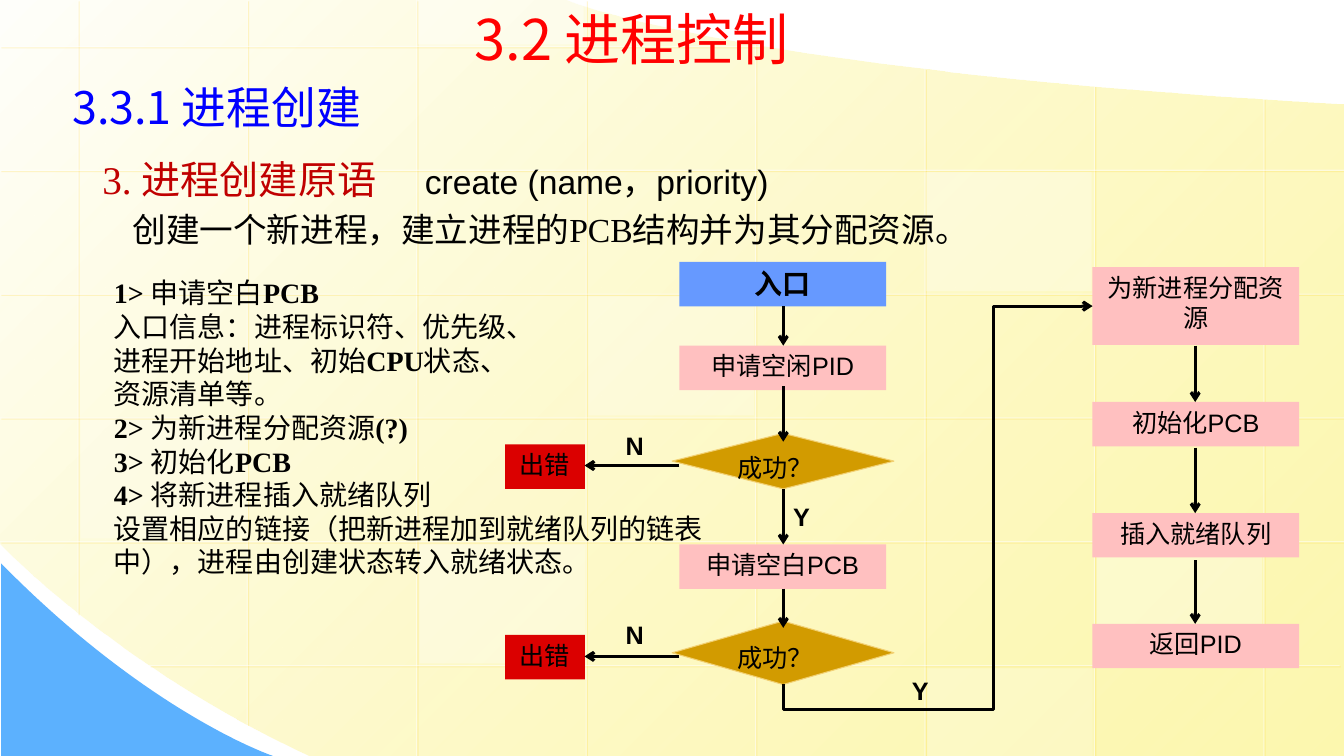
from typing import NamedTuple

from lxml import etree
from pptx import Presentation
from pptx.dml.color import RGBColor
from pptx.enum.shapes import MSO_CONNECTOR, MSO_SHAPE
from pptx.enum.text import MSO_ANCHOR, PP_ALIGN
from pptx.oxml.ns import qn
from pptx.util import Cm, Pt

RECT, DECISION = MSO_SHAPE.RECTANGLE, MSO_SHAPE.FLOWCHART_DECISION
STRAIGHT, ELBOW = MSO_CONNECTOR.STRAIGHT, MSO_CONNECTOR.ELBOW
LEFT, CENTER = PP_ALIGN.LEFT, PP_ALIGN.CENTER
TOP, MIDDLE = MSO_ANCHOR.TOP, MSO_ANCHOR.MIDDLE

BLACK, WHITE = RGBColor(0, 0, 0), RGBColor(255, 255, 255)
RED, BLUE = RGBColor(255, 0, 0), RGBColor(0, 0, 255)
DARK_RED, ERROR_RED = RGBColor(0xC0, 0, 0), RGBColor(0xDB, 0, 0)
PINK, ENTRY_BLUE = RGBColor(0xFF, 0xC0, 0xC0), RGBColor(0x66, 0x99, 0xFF)
GOLD, GOLD_EDGE = RGBColor(0xD2, 0x9B, 0), RGBColor(0xF2, 0xD0, 0x72)
CREAM, YELLOW = RGBColor(0xFF, 0xFF, 0xFB), RGBColor(0xFD, 0xF5, 0x8D)
SKY = RGBColor(0x5C, 0xB1, 0xFE)

ARIAL, TIMES, NOTO = "Arial", "Times New Roman", "Noto Sans CJK SC"
WIDTH, HEIGHT = 33.87, 19.05
MAIN_X, SIDE_X = 19.74, 30.12  # centre lines of the two flow columns


class Node(NamedTuple):
    text: str
    left: float
    top: float
    width: float = 5.21
    height: float = 1.12
    fill: RGBColor = PINK
    shape: int = RECT
    size: int = 18
    bold: bool = False


class Span(NamedTuple):
    text: str
    font: str = NOTO
    size: int = 20
    color: RGBColor = BLACK
    bold: bool = False


class Line(NamedTuple):
    x1: float
    y1: float
    x2: float
    y2: float


def bold(text: str) -> Span:
    return Span(text, TIMES, bold=True)


NODES = [
    Node("入口", 17.12, 6.6, fill=ENTRY_BLUE, size=20, bold=True),
    Node("申请空闲PID", 17.12, 8.71),
    Node("成功？", 16.94, 10.92, 5.59, 1.4, GOLD, DECISION),
    Node("申请空白PCB", 17.12, 13.72),
    Node("成功？", 16.94, 15.65, 5.59, 1.6, GOLD, DECISION),
    Node("出错", 12.73, 11.2, 2.01, fill=ERROR_RED),
    Node("出错", 12.73, 16, 2.01, fill=ERROR_RED),
    Node("为新进程分配资源", 27.53, 6.73, height=1.96),
    Node("初始化PCB", 27.53, 10.13),
    Node("插入就绪队列", 27.53, 12.93),
    Node("返回PID", 27.53, 15.72),
]
ARROWS = [
    *(Line(MAIN_X, start, MAIN_X, end) for start, end in
      ((7.72, 8.71), (9.73, 11.13), (12.32, 13.72), (14.83, 15.82))),
    *(Line(SIDE_X, start, SIDE_X, end) for start, end in
      ((8.71, 10.13), (11.28, 12.93), (14.12, 15.72))),
    *(Line(17.12, y, 14.73, y) for y in (11.73, 16.54)),
]
BRANCH_LABELS = [("Y", MAIN_X, 12.52), ("Y", 22.73, 16.89),
                 ("N", 15.52, 10.72), ("N", 15.52, 15.49)]
STEPS = [
    [bold("1> "), Span("申请空白"), bold("PCB")],
    [Span("入口信息：进程标识符、优先级、")],
    [Span("进程开始地址、初始"), bold("CPU"), Span("状态、")],
    [Span("资源清单等。")],
    [bold("2> "), Span("为新进程分配资源"), bold("(?)")],
    [bold("3> "), Span("初始化"), bold("PCB")],
    [bold("4> "), Span("将新进程插入就绪队列")],
    [Span("设置相应的链接（把新进程加到就绪队列的链表中），进程由创建状态转入就绪状态。")],
]
INTRO = [
    [Span("3.3.1 进程创建", NOTO, 32, BLUE)],
    [Span("3. 进程创建原语\t", TIMES, 28, DARK_RED),
     Span("create (name，priority)", ARIAL, 24)],
    [Span("创建一个新进程，建立进程的PCB结构并为其分配资源。", TIMES, 24)],
]


def set_alpha(color_element, percent: int) -> None:
    etree.SubElement(color_element, qn("a:alpha")).set("val", str(percent * 1000))


def last_color(shape):
    return list(shape._element.spPr.iter(qn("a:srgbClr")))[-1]


def curve(p0, p1, p2, p3, steps: int = 40) -> list:
    """Points along a cubic Bézier curve."""
    points = []
    for t in (i / steps for i in range(steps + 1)):
        weights = ((1 - t) ** 3, 3 * t * (1 - t) ** 2, 3 * t * t * (1 - t), t ** 3)
        points.append(tuple(sum(w * p[axis] for w, p in zip(weights, (p0, p1, p2, p3)))
                            for axis in (0, 1)))
    return points


def add_outline(page, points: list):
    builder = page.shapes.build_freeform(Cm(points[0][0]), Cm(points[0][1]))
    builder.add_line_segments([(Cm(x), Cm(y)) for x, y in points[1:]])
    shape = builder.convert_to_shape()
    shape.shadow.inherit = False
    shape.line.fill.background()
    return shape


def add_solid(page, kind: int, left: float, top: float, width: float, height: float,
              fill: RGBColor):
    shape = page.shapes.add_shape(kind, Cm(left), Cm(top), Cm(width), Cm(height))
    shape.shadow.inherit = False
    shape.fill.solid()
    shape.fill.fore_color.rgb = fill
    shape.line.fill.background()
    return shape


def add_line(page, line: Line, color: RGBColor, width: float, kind: int = STRAIGHT):
    link = page.shapes.add_connector(kind, *(Cm(value) for value in line))
    link.line.color.rgb = color
    link.line.width = Pt(width)
    etree.SubElement(link._element.spPr, qn("a:effectLst"))
    return link


def add_arrow(page, line: Line, kind: int = STRAIGHT):
    link = add_line(page, line, BLACK, 2.25, kind)
    etree.SubElement(link.line._get_or_add_ln(), qn("a:tailEnd")).set("type", "arrow")
    return link


def add_grid_line(page, line: Line) -> None:
    link = add_line(page, line, WHITE, 0.75)
    set_alpha(last_color(link), 50)
    shadow = etree.SubElement(link._element.spPr.find(qn("a:effectLst")), qn("a:outerShdw"),
                              dist="17780", dir="2700000", algn="ctr", rotWithShape="0")
    set_alpha(etree.SubElement(shadow, qn("a:srgbClr"), val="FFCC00"), 34)


def add_text(page, left: float, top: float, width: float, height: float,
             paragraphs: list, anchor: int = TOP) -> list:
    frame = page.shapes.add_textbox(Cm(left), Cm(top), Cm(width), Cm(height)).text_frame
    frame.word_wrap = True
    frame.vertical_anchor = anchor
    for index, spans in enumerate(paragraphs):
        para = frame.paragraphs[0] if index == 0 else frame.add_paragraph()
        for span in spans:
            run = para.add_run()
            run.text = span.text
            style(run.font, span.font, span.size, span.color, span.bold)
    return list(frame.paragraphs)


def style(font, name: str, size: int, color: RGBColor, is_bold: bool) -> None:
    font.name, font.size, font.bold = name, Pt(size), is_bold
    font.color.rgb = color


def add_node(page, node: Node) -> None:
    box = add_solid(page, node.shape, node.left, node.top, node.width, node.height, node.fill)
    if node.shape == DECISION:
        box.line.color.rgb = GOLD_EDGE
        box.line.width = Pt(0.75)
    box.text_frame.vertical_anchor = TOP
    para = box.text_frame.paragraphs[0]
    para.text = node.text
    para.alignment = LEFT if node.shape == DECISION else CENTER
    style(para.font, ARIAL, node.size, BLACK, node.bold)


def draw_background(page) -> None:
    top_edge = curve((14.25, 0), (14.25, 0), (18.16, 1.75), (WIDTH, 2.64))
    left_edge = curve((7.8, HEIGHT), (2.92, 16.79), (0, 13.69), (0, 13.69))
    panel = add_outline(page, [(0, 0), *top_edge, (WIDTH, HEIGHT), *left_edge])
    panel.fill.gradient()
    panel.fill.gradient_angle = 315
    for stop, color in zip(panel.fill.gradient_stops, (CREAM, YELLOW)):
        stop.color.rgb = color
    set_alpha(last_color(panel), 70)
    corner = add_outline(page, [(0.03, HEIGHT), *curve(
        (6.88, HEIGHT), (6.88, HEIGHT), (3.78, 18.01), (0.03, 14.2))])
    corner.fill.solid()
    corner.fill.fore_color.rgb = SKY

    # Grid lines and pale tiles
    tops = (0, 0, 0, 0, 1.09, 1.73, 2.16, 2.49)
    bottoms = (15.47, 18.26) + (HEIGHT,) * 6
    for column, (top, bottom) in enumerate(zip(tops, bottoms)):
        x = 1.96 + 4.27 * column
        add_grid_line(page, Line(x, top, x, bottom))
    ends = [(0, 19.23)] + [(0, WIDTH)] * 4 + [(3.76, 33.76)]
    for row, (left, right) in enumerate(ends):
        y = 1.17 + 3.12 * row
        add_grid_line(page, Line(right, y, left, y))
    for left, top, height, alpha in (
            (14.83, 7.47, 3, 25), (27.64, 13.72, 3, 30), (2.03, 10.57, 3, 20),
            (23.37, 16.84, 2.21, 20), (10.54, 0, 1.12, 40), (10.57, 13.72, 3, 30),
            (23.34, 4.34, 3, 30)):
        set_alpha(last_color(add_solid(page, RECT, left, top, 4.17, height, WHITE)), alpha)


def draw_texts(page) -> None:
    _, primitive, summary = paragraphs = add_text(page, 1.57, 1.47, 23.9, 5.05, INTRO)
    for para, size in zip(paragraphs, (32, 28, 24)):
        para.space_before = Pt(size * 0.2)
    for para in paragraphs[:2]:
        para.line_spacing = 1.3
    for para, indent in ((primitive, 0.76), (summary, 1.52)):
        para._p.get_or_add_pPr().set("indent", str(Cm(indent)))
    tabs = etree.SubElement(primitive._p.get_or_add_pPr(), qn("a:tabLst"))
    etree.SubElement(tabs, qn("a:tab"), pos=str(Cm(9.25)), algn="l")
    add_text(page, 11.71, -0.05, 10.62, 2.03, [[Span("3.2 进程控制", NOTO, 40, RED)]], MIDDLE)
    add_text(page, 2.62, 6.83, 15.72, 7.95, STEPS)


def draw_flow(page) -> None:
    for node in NODES:
        add_node(page, node)
    for arrow in ARROWS:
        add_arrow(page, arrow)
    for text, left, top in BRANCH_LABELS:
        add_text(page, left, top, 1.19, 1.02, [[Span(text, ARIAL, 18, BLACK, True)]])

    # Elbow from the second decision up to the side column
    elbow = add_arrow(page, Line(28.4, 16.38, 18.87, 8.58), ELBOW)
    elbow.rotation = 90 if hasattr(elbow, "rotation") else 0
    elbow._element.spPr.find(qn("a:xfrm")).set("rot", "5400000")
    geometry = elbow._element.spPr.find(qn("a:prstGeom"))
    geometry.set("prst", "bentConnector4")
    for name, value in (("adj1", -6700), ("adj2", 67900)):
        etree.SubElement(geometry.find(qn("a:avLst")), qn("a:gd"), name=name, fmla=f"val {value}")


def main() -> None:
    deck = Presentation()
    deck.slide_width, deck.slide_height = Cm(WIDTH), Cm(HEIGHT)
    page = deck.slides.add_slide(deck.slide_layouts[6])
    draw_background(page)
    draw_texts(page)
    draw_flow(page)
    deck.save("out.pptx")


if __name__ == "__main__":
    main()
